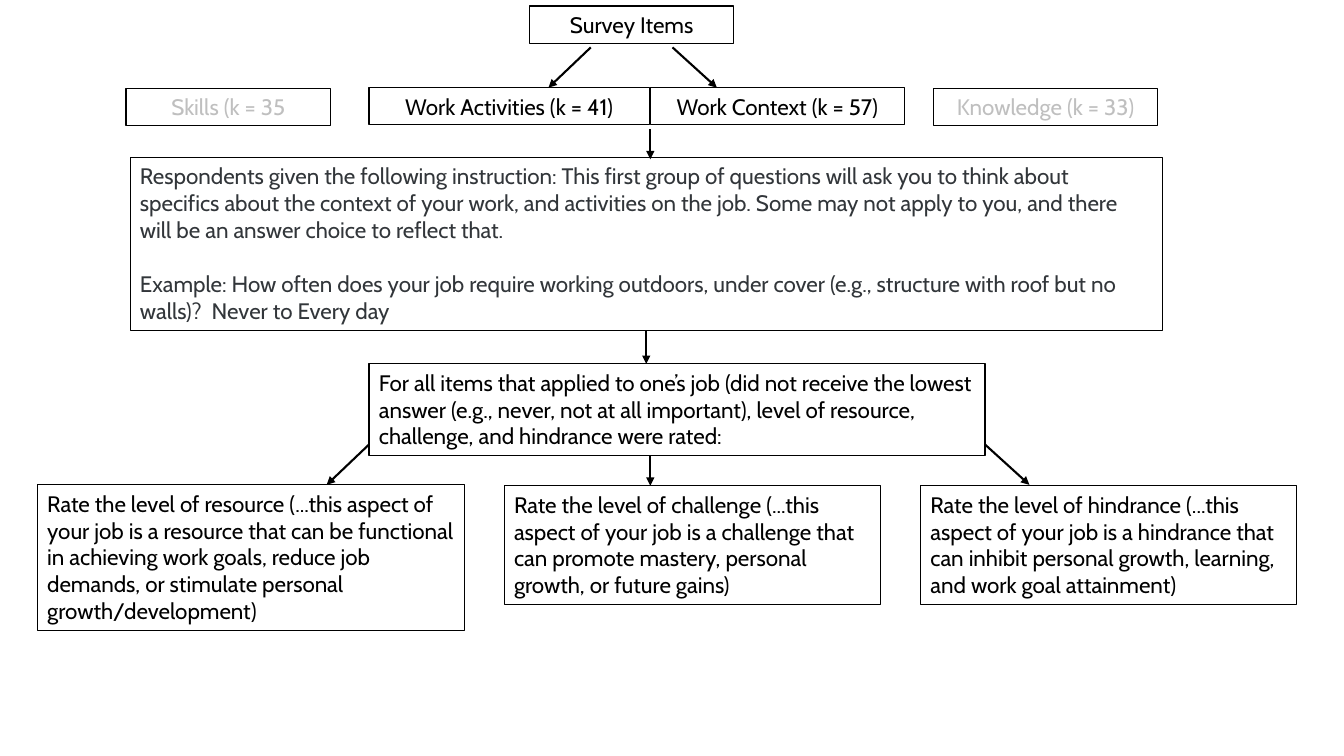
from lxml import etree
from pptx import Presentation
from pptx import util as u
from pptx.dml.color import RGBColor
from pptx.enum import shapes, text
from pptx.oxml.ns import qn

BLACK = RGBColor(0x00, 0x00, 0x00)
SLATE = RGBColor(0x32, 0x36, 0x3A)
GREY = RGBColor(0xBF, 0xBF, 0xBF)
FONT = {"name": "Cabin", "size": u.Pt(16)}
FRAME = {"word_wrap": True, "auto_size": text.MSO_AUTO_SIZE.SHAPE_TO_FIT_TEXT}
LEFT, CENTER = text.PP_ALIGN.LEFT, text.PP_ALIGN.CENTER


def set_all(target, values):
    for name, value in values.items():
        setattr(target, name, value)


def add_box(s, box, paragraphs, color=BLACK, align=LEFT, gap=0):
    """Outlined text box; gap is the space in points between paragraphs."""
    sp = s.shapes.add_textbox(*map(u.Inches, box))
    sp.line.color.rgb = BLACK
    sp.line.width = u.Pt(0.75)
    tf = sp.text_frame
    set_all(tf, FRAME)
    for i, words in enumerate(paragraphs):
        p = tf.add_paragraph() if i else tf.paragraphs[0]
        set_all(p, {"alignment": align, "space_before": u.Pt(gap if i else 0)})
        r = p.add_run()
        r.text = words
        set_all(r.font, FONT)
        r.font.color.rgb = color
    return sp


def add_arrow(s, x1, y1, x2, y2):
    line = s.shapes.add_connector(
        shapes.MSO_CONNECTOR.STRAIGHT, *map(u.Inches, (x1, y1, x2, y2)))
    line.line.color.rgb = BLACK
    line.line.width = u.Pt(1.5)
    etree.SubElement(line.line._get_or_add_ln(), qn("a:tailEnd"), type="triangle")
    etree.SubElement(line._element.spPr, qn("a:effectLst"))
    return line


def add_item_pool(s, x, y, w, h):
    """Source of the items, with arrows to the two groups in use."""
    add_box(s, (x, y, w, h), ["Survey Items"], align=CENTER)
    start, end = y + h + 0.04, y + 0.81
    add_arrow(s, x + 0.61, start, x + 0.19, end)
    add_arrow(s, x + 1.42, start, x + 1.86, end)


def add_item_groups(s, x, y, h):
    groups = [
        ("Skills (k = 35", 0, 0.01, 2.03, GREY),
        ("Work Activities (k = 41)", 2.41, 0, 2.78, BLACK),
        ("Work Context (k = 57)", 5.2, 0, 2.52, BLACK),
        ("Knowledge (k = 33)", 8.01, 0.01, 2.22, GREY),
    ]
    for words, dx, dy, w, color in groups:
        add_box(s, (x + dx, y + dy, w, h), [words], color, CENTER)
    add_arrow(s, x + 5.2, y + h + 0.04, x + 5.2, y + h + 0.34)


def add_instructions(s, x, y, w, h):
    sp = add_box(s, (x, y, w, h), [
        "Respondents given the following instruction: This first group of "
        "questions will ask you to think about specifics about the context of "
        "your work, and activities on the job. Some may not apply to you, and "
        "there will be an answer choice to reflect that.",
        "Example: How often does your job require working outdoors, under cover "
        "(e.g., structure with roof but no walls)?  Never to Every day",
    ], SLATE, gap=19.4)
    middle, bottom = x + w / 2, y + h
    add_arrow(s, middle, bottom, middle, bottom + 0.33).begin_connect(sp, 2)


def add_rating_rule(s, x, y, w, h):
    """Rule for the rated items, with arrows to the three ratings."""
    add_box(s, (x, y, w, h), [
        "For all items that applied to one’s job (did not receive the lowest "
        "answer (e.g., never, not at all important), level of resource, "
        "challenge, and hindrance were rated:"])
    side, end = y + 0.8, y + 1.2
    add_arrow(s, x, side, x - 0.42, end)
    add_arrow(s, x + 2.79, y + h, x + 2.79, end + 0.01)
    add_arrow(s, x + w, side, x + w + 0.44, end)


def add_ratings(s, x, y):
    ratings = [
        ("resource", "a resource that can be functional in achieving work goals, "
         "reduce job demands, or stimulate personal growth/development",
         0, 0, 4.24, 1.45),
        ("challenge", "a challenge that can promote mastery, personal growth, or "
         "future gains", 4.63, 0.01, 3.73, 1.18),
        ("hindrance", "a hindrance that can inhibit personal growth, learning, "
         "and work goal attainment", 8.76, 0.01, 3.73, 1.18),
    ]
    for level, meaning, dx, dy, w, h in ratings:
        add_box(s, (x + dx, y + dy, w, h),
                [f"Rate the level of {level} (...this aspect of your job is {meaning})"])


def main():
    prs = Presentation()
    prs.slide_width, prs.slide_height = u.Inches(13.33), u.Inches(7.5)
    s = prs.slides.add_slide(prs.slide_layouts[6])
    add_item_pool(s, 5.25, 0.06, 2.03, 0.37)
    add_item_groups(s, 1.25, 0.87, 0.37)
    add_instructions(s, 1.29, 1.56, 10.24, 1.72)
    add_rating_rule(s, 3.66, 3.61, 6.11, 0.91)
    add_ratings(s, 0.37, 4.81)
    prs.save("out.pptx")


if __name__ == "__main__":
    main()
